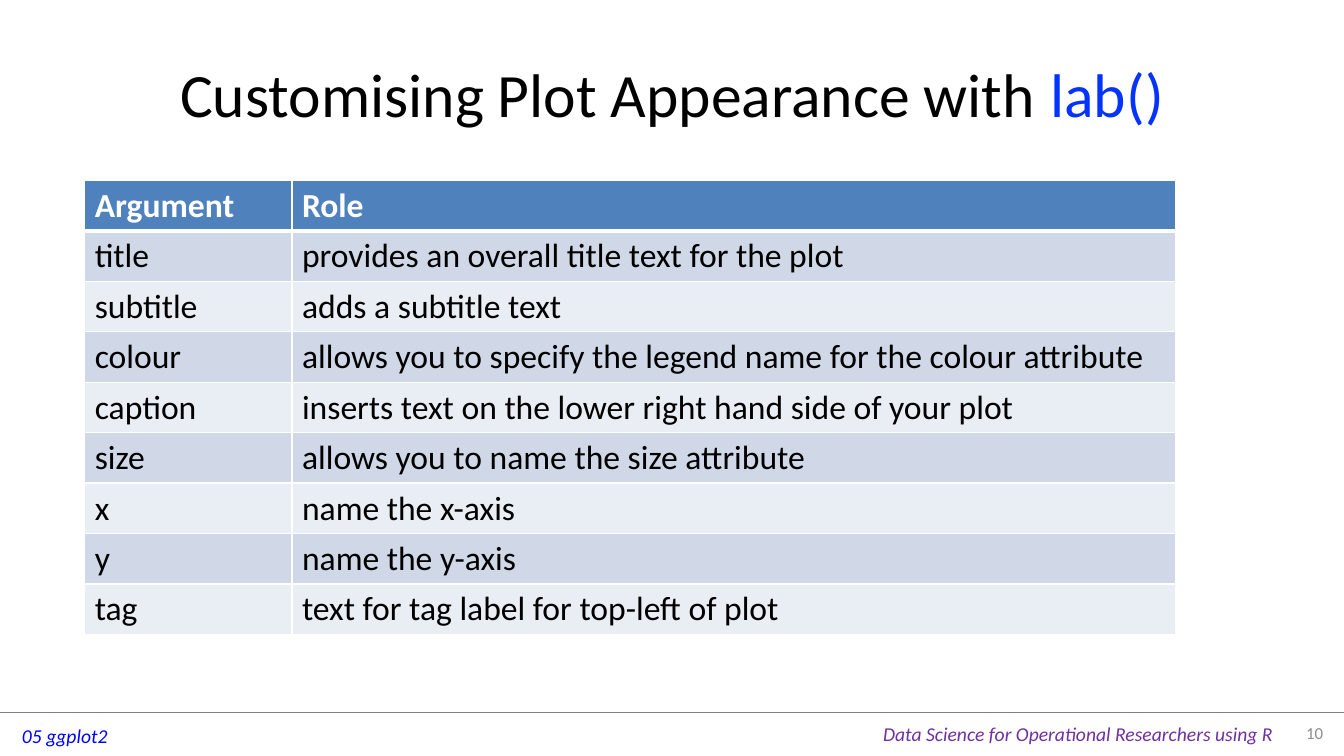
from dataclasses import dataclass

from lxml.etree import SubElement
from pptx import Presentation
from pptx.dml.color import RGBColor as RGB
from pptx.enum.shapes import MSO_CONNECTOR as Connector
from pptx.enum.text import MSO_ANCHOR as Anchor, PP_ALIGN as Align
from pptx.oxml.ns import qn
from pptx.util import Inches, Pt

SLIDE_W, SLIDE_H = 13.33, 7.5


@dataclass(frozen=True)
class Theme:
    font: str = "Calibri"
    ink: str = "000000"
    paper: str = "FFFFFF"
    code: str = "0432FF"
    header: str = "4F81BD"
    bands: tuple = ("D0D8E8", "E9EDF4")
    rule: str = "808080"
    topic: str = "0000FF"
    course: str = "7030A0"
    number: str = "8C8C8C"
    title_size: int = 44
    table_size: int = 24
    footer_size: int = 14
    number_size: int = 12


THEME = Theme()

ARGUMENTS = [
    ("Argument", "Role"),
    ("title", "provides an overall title text for the plot"),
    ("subtitle", "adds a subtitle text"),
    ("colour", "allows you to specify the legend name for the colour attribute"),
    ("caption", "inserts text on the lower right hand side of your plot"),
    ("size", "allows you to name the size attribute"),
    ("x", "name the x-axis"),
    ("y", "name the y-axis"),
    ("tag", "text for tag label for top-left of plot"),
]


def style_run(r, size, color, bold=False, italic=False):
    r.font.name = THEME.font
    r.font.size = Pt(size)
    r.font.bold = bold
    r.font.italic = italic
    r.font.color.rgb = RGB.from_string(color)


def add_text(s, box, parts, size, align=Align.LEFT, anchor=Anchor.TOP,
             wrap=True, italic=False):
    """Place one line of (text, colour) parts in a box."""
    tf = s.shapes.add_textbox(*map(Inches, box)).text_frame
    tf.word_wrap = wrap
    tf.vertical_anchor = anchor
    p = tf.paragraphs[0]
    p.alignment = align
    for text, color in parts:
        r = p.add_run()
        r.text = text
        style_run(r, size, color, italic=italic)


def add_title(s, box):
    parts = [("Customising Plot Appearance with ", THEME.ink), ("lab()", THEME.code)]
    add_text(s, box, parts, THEME.title_size, Align.CENTER, Anchor.MIDDLE)


def set_borders(cell, **widths):
    """Draw cell edges; widths are points by edge letter, in schema order."""
    tc_pr = cell._tc.get_or_add_tcPr()
    for edge, width in widths.items():
        ln = SubElement(tc_pr, qn(f"a:ln{edge}"), w=str(Pt(width)))
        fill = SubElement(ln, qn("a:solidFill"))
        SubElement(fill, qn("a:srgbClr"), val=THEME.paper)


def add_argument_table(s, box, first_share):
    left, top, width, height = map(Inches, box)
    table = s.shapes.add_table(len(ARGUMENTS), 2, left, top, width, height).table
    table.columns[0].width = int(width * first_share)
    table.columns[1].width = width - table.columns[0].width

    for i, row in enumerate(ARGUMENTS):
        is_header = i == 0
        for j, text in enumerate(row):
            cell = table.cell(i, j)
            set_borders(cell, L=1, R=1, T=3 if i == 1 else 1, B=3 if is_header else 1)
            cell.fill.solid()
            fill = THEME.header if is_header else THEME.bands[(i - 1) % 2]
            cell.fill.fore_color.rgb = RGB.from_string(fill)
            cell.text_frame.text = text
            style_run(cell.text_frame.paragraphs[0].runs[0], THEME.table_size,
                      THEME.paper if is_header else THEME.ink, bold=is_header)


def add_footer(s, box):
    left, top, width, height = box
    right = left + width

    # Rule across the slide
    line = s.shapes.add_connector(Connector.STRAIGHT, Inches(left), Inches(top),
                                  Inches(right), Inches(top))
    line.line.color.rgb = RGB.from_string(THEME.rule)
    line.line.width = Pt(0.25)
    SubElement(line._element.spPr, qn("a:effectLst"))

    # Topic, course and slide number
    add_text(s, (left + 0.12, top + 0.06, 1.06, 0.34), [("05 ggplot2", THEME.topic)],
             THEME.footer_size, wrap=False, italic=True)
    add_text(s, (right - 4.67, top + 0.04, 4.11, 0.34),
             [("Data Science for Operational Researchers using R", THEME.course)],
             THEME.footer_size, wrap=False, italic=True)
    add_text(s, (right - 0.66, top, 0.55, 0.39), [("10", THEME.number)],
             THEME.number_size, Align.RIGHT, Anchor.MIDDLE)


def main():
    prs = Presentation()
    prs.slide_width, prs.slide_height = Inches(SLIDE_W), Inches(SLIDE_H)
    s = prs.slides.add_slide(prs.slide_layouts[6])

    margin = SLIDE_W * 0.05
    footer_top = 7.07
    add_footer(s, (0, footer_top, SLIDE_W, SLIDE_H - footer_top))
    add_title(s, (margin, SLIDE_H * 0.04, SLIDE_W - 2 * margin, SLIDE_H / 6))
    add_argument_table(s, (0.84, 1.79, 10.82, 4.5), first_share=0.19)

    prs.save("out.pptx")


if __name__ == "__main__":
    main()
